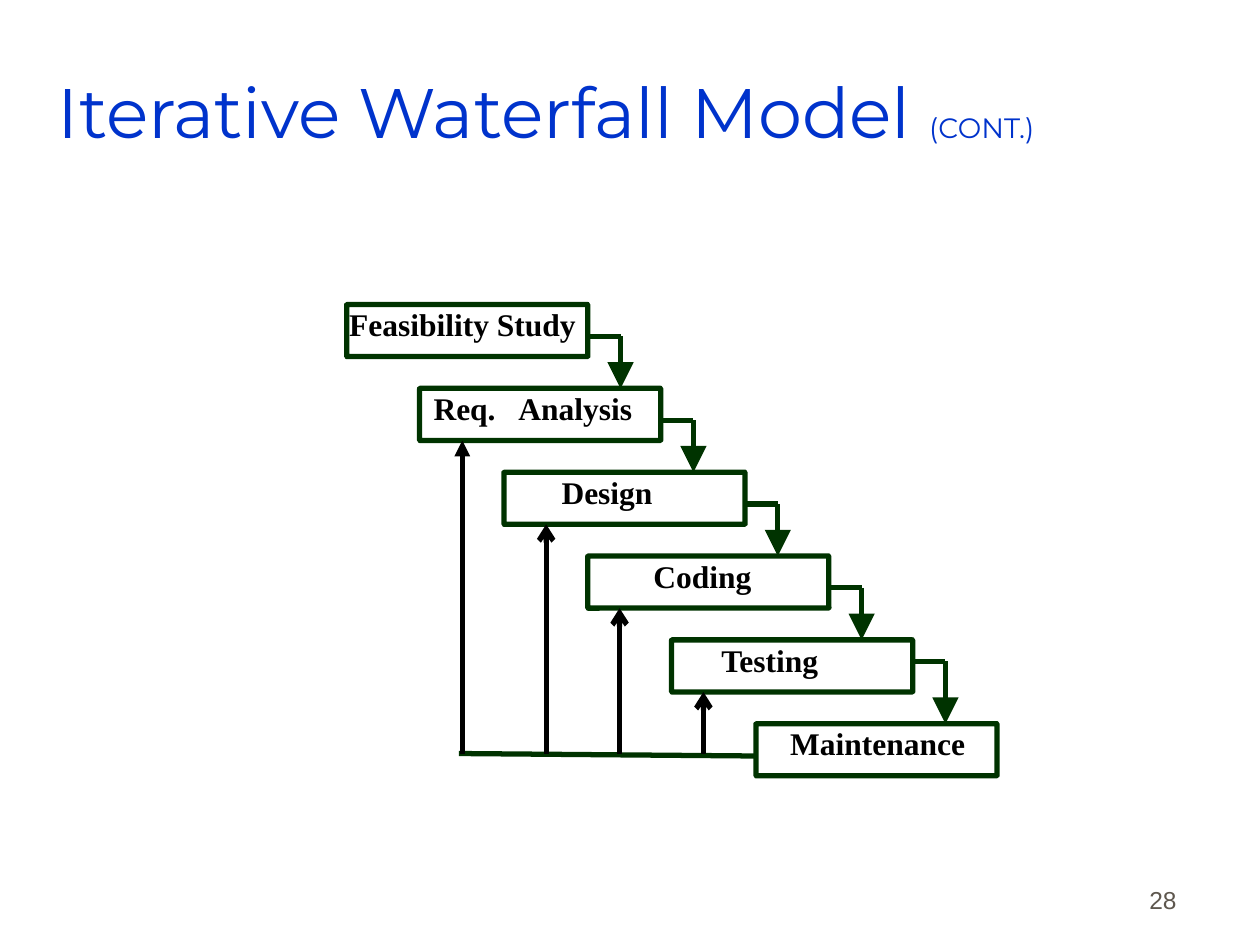
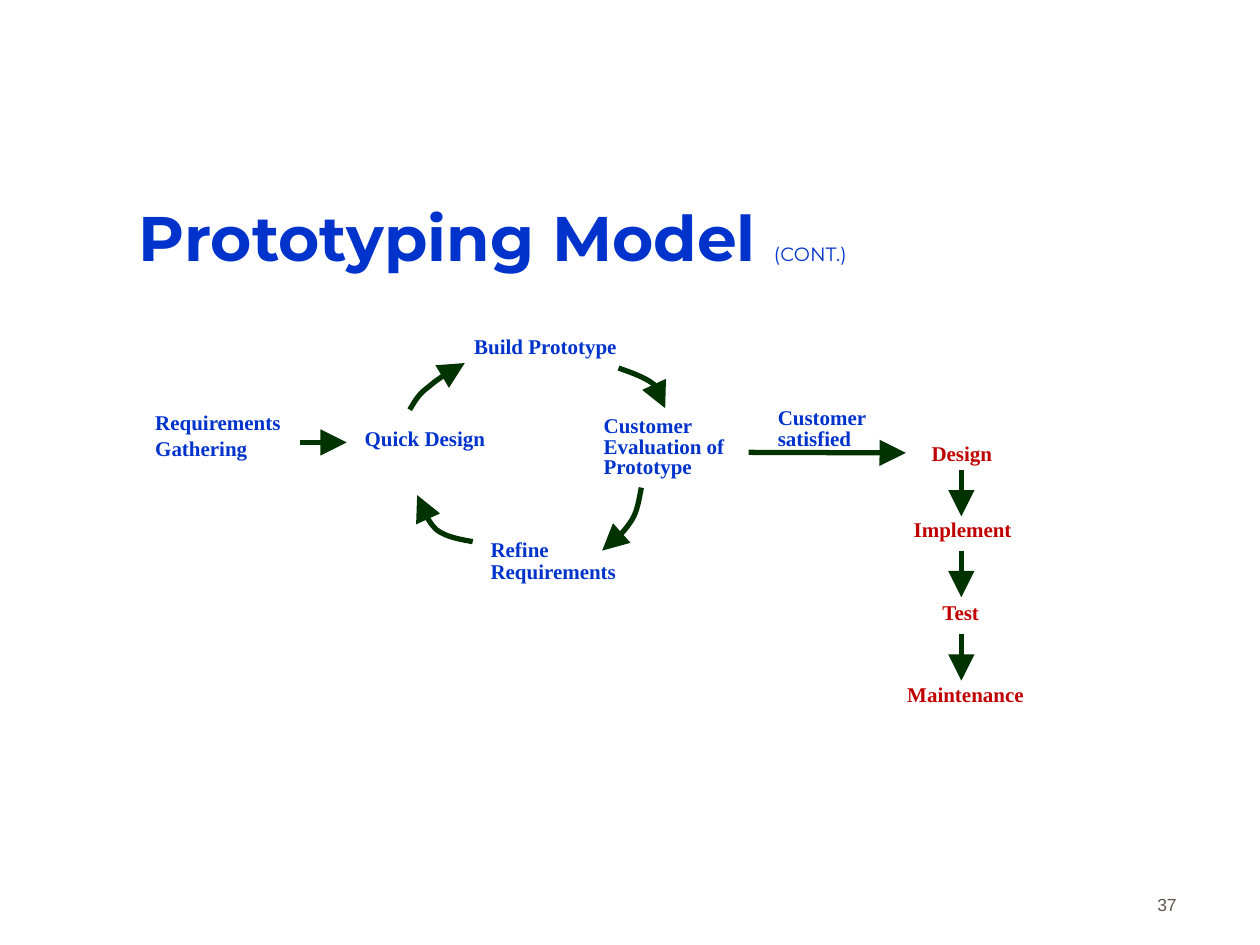
from dataclasses import dataclass

from lxml.etree import SubElement
from pptx import Presentation
from pptx.dml.color import RGBColor
from pptx.enum.shapes import MSO_CONNECTOR as Connector, MSO_SHAPE as Preset
from pptx.enum.text import MSO_ANCHOR as Anchor, PP_ALIGN as Align
from pptx.oxml.ns import qn
from pptx.util import Cm, Pt


@dataclass(frozen=True)
class Theme:
    blue: str = "0033CC"
    green: str = "003300"
    red: str = "C00000"
    black: str = "000000"
    grey: str = "5E574E"
    title_font: str = "Montserrat"
    body_font: str = "Times New Roman"
    number_font: str = "Arial"
    box_size: float = 18
    label_size: float = 12
    line_width: float = 3
    line_spacing: float = 0.85


THEME = Theme()

# ---- Content: all lengths in centimetres ----
WATERFALL = {
    "title": [("Iterative Waterfall Model ", 40, False), ("(CONT.)", 16, False)],
    "title_area": (1.12, 0.64, 21.59, 3.18),
    "title_inset": (0.05, 0.13),
    "number": ("28", 14),
}
# Phase, left edge, text indent
PHASES = [
    ("Feasibility Study", 6.99, 0),
    ("Req.\tAnalysis", 8.46, 0.23),
    ("Design", 10.16, 1.11),
    ("Coding", 11.85, 1.27),
    ("Testing", 13.54, 0.95),
    ("Maintenance", 15.24, 0.64),
]
FIRST_TOP, PHASE_STEP = 6.14, 1.69
BOX_WIDTH, BOX_HEIGHT = 4.86, 1.05
STEP_RUN = 0.66
STEP_DROPS = [0.64, 0.64, 0.64, 0.64, 0.43]
WORD_TAB = 1.71
# Phase index, distance from its left edge, arrowhead
FEEDBACK = [(1, 0.86, "triangle"), (2, 0.85, "arrow"),
            (3, 0.64, "arrow"), (4, 0.64, "arrow")]
FEEDBACK_START, FEEDBACK_END = (15.24, 15.24), (9.25, 15.19)

PROTOTYPING = {
    "title": [("Prototyping Model ", 36, True), ("(CONT.)", 11, False)],
    "title_area": (2.77, 3.56, 16.18, 2.39),
    "title_inset": (0.03, 0.1),
    "number": ("37", 10),
}
# Lines, area, line spacing
CYCLE_LABELS = [
    (["Requirements", "Gathering"], (3.1, 8.23, 2.92, 1.78), 0.85),
    (["Quick Design"], (7.32, 8.56, 2.84, 0.71), 0.85),
    (["Refine Requirements"], (9.86, 10.8, 3.33, 1.19), 0.85),
    (["Build Prototype"], (9.53, 6.71, 3.18, 1.19), 0.85),
    (["Customer", "Evaluation of", "Prototype"], (12.14, 8.38, 3.33, 1.75), 0.63),
    (["Customer satisfied"], (15.65, 8.13, 3.18, 1.22), 0.85),
]
# Label, left, top
DELIVERY_LABELS = [
    ("Design", 18.75, 8.86),
    ("Implement", 18.39, 10.39),
    ("Test", 18.97, 12.07),
    ("Maintenance", 18.26, 13.72),
]
DELIVERY_WIDTH, DELIVERY_HEIGHT = 2.84, 0.69
DELIVERY_AXIS, DELIVERY_ARROW = 19.38, 0.94
DELIVERY_ARROW_TOPS = [9.47, 11.1, 12.78]
FLOW_ARROWS = [((6.05, 8.92), (6.99, 8.92)), ((15.09, 9.12), (18.26, 9.13))]
# Each arc is two joined cubic curves
CYCLE_ARCS = [
    [(8.26, 8.26), (8.36, 8.1), (8.43, 7.95), (8.64, 7.8),
     (8.81, 7.65), (9.09, 7.47), (9.37, 7.32)],
    [(12.47, 7.42), (12.75, 7.52), (13.03, 7.62), (13.18, 7.75),
     (13.34, 7.87), (13.36, 8.05), (13.41, 8.23)],
    [(12.93, 9.83), (12.88, 10.08), (12.85, 10.34), (12.7, 10.54),
     (12.57, 10.74), (12.37, 10.92), (12.14, 11.1)],
    [(9.53, 10.92), (9.25, 10.87), (8.97, 10.82), (8.79, 10.67),
     (8.61, 10.49), (8.51, 10.24), (8.41, 9.98)],
]
ARC_STEPS = 10
NUMBER_AREA = (18.69, 17.3, 5.28, 1.27)


# ---- Helpers ----
def add_run(paragraph, text, font, size, color, bold=False):
    run = paragraph.add_run()
    run.text = text
    run.font.name = font
    run.font.size = Pt(size)
    run.font.bold = bold
    run.font.color.rgb = RGBColor.from_string(color)


def prepare_frame(shape, inset, anchor=Anchor.TOP, indent=0):
    frame = shape.text_frame
    frame.word_wrap = True
    frame.vertical_anchor = anchor
    side, edge = inset
    frame.margin_left, frame.margin_right = Cm(side + indent), Cm(side)
    frame.margin_top = frame.margin_bottom = Cm(edge)
    return frame


def add_text_frame(slide, area, inset, anchor=Anchor.TOP):
    return prepare_frame(slide.shapes.add_textbox(*map(Cm, area)), inset, anchor)


def add_label(slide, lines, area, color, spacing=THEME.line_spacing):
    frame = add_text_frame(slide, area, (0.03, 0.1))
    for index, text in enumerate(lines):
        paragraph = frame.add_paragraph() if index else frame.paragraphs[0]
        paragraph.line_spacing = spacing
        paragraph.space_before = Pt(2.8 if index else 0)
        add_run(paragraph, text, THEME.body_font, THEME.label_size, color, True)


def style_line(shape, color, head=None, head_size="lg"):
    shape.line.color.rgb = RGBColor.from_string(color)
    shape.line.width = Pt(THEME.line_width)
    if head:
        SubElement(shape.line._get_or_add_ln(), qn("a:tailEnd"),
                   type=head, w=head_size, len=head_size)


def add_line(slide, start, end, color=THEME.green, head=None, head_size="lg"):
    line = slide.shapes.add_connector(Connector.STRAIGHT, *map(Cm, start + end))
    style_line(line, color, head, head_size)
    SubElement(line._element.spPr, qn("a:effectLst"))


def curve_points(controls):
    """Sample the joined cubic curves, leaving out the starting point."""
    for first in range(0, len(controls) - 1, 3):
        corners = controls[first:first + 4]
        for step in range(1, ARC_STEPS + 1):
            t = step / ARC_STEPS
            weights = ((1 - t) ** 3, 3 * t * (1 - t) ** 2, 3 * t * t * (1 - t), t ** 3)
            yield tuple(Cm(sum(weight * corner[axis]
                               for weight, corner in zip(weights, corners)))
                        for axis in (0, 1))


def add_arc(slide, controls):
    builder = slide.shapes.build_freeform(*map(Cm, controls[0]))
    builder.add_line_segments(list(curve_points(controls)), close=False)
    arc = builder.convert_to_shape()
    arc.shadow.inherit = False
    arc.fill.background()
    style_line(arc, THEME.green, "triangle")


def start_slide(presentation, content):
    """Add a blank slide with its title and number."""
    slide = presentation.slides.add_slide(presentation.slide_layouts[6])
    title = add_text_frame(slide, content["title_area"], content["title_inset"],
                           Anchor.MIDDLE)
    for text, size, bold in content["title"]:
        add_run(title.paragraphs[0], text, THEME.title_font, size, THEME.blue, bold)
    number = add_text_frame(slide, NUMBER_AREA, (0.25, 0.13), Anchor.BOTTOM)
    number.paragraphs[0].alignment = Align.RIGHT
    text, size = content["number"]
    add_run(number.paragraphs[0], text, THEME.number_font, size, THEME.grey)
    return slide


def phase_top(index):
    return FIRST_TOP + index * PHASE_STEP


def add_phase(slide, index, text, left, indent):
    box = slide.shapes.add_shape(Preset.ROUNDED_RECTANGLE, Cm(left),
                                 Cm(phase_top(index)), Cm(BOX_WIDTH), Cm(BOX_HEIGHT))
    box.adjustments[0] = 0.004
    box.shadow.inherit = False
    box.fill.background()
    style_line(box, THEME.green)
    paragraph = prepare_frame(box, (0.05, 0.13), indent=indent).paragraphs[0]
    if "\t" in text:
        tabs = SubElement(paragraph._p.get_or_add_pPr(), qn("a:tabLst"))
        SubElement(tabs, qn("a:tab"), pos=str(Cm(WORD_TAB)), algn="l")
    paragraph.alignment = Align.LEFT
    paragraph.line_spacing = THEME.line_spacing
    add_run(paragraph, text, THEME.body_font, THEME.box_size, THEME.black, True)


# ---- Slides ----
def build_waterfall(presentation):
    slide = start_slide(presentation, WATERFALL)
    for index, (text, left, indent) in enumerate(PHASES):
        add_phase(slide, index, text, left, indent)

    # Steps down to the next phase
    for index, drop in enumerate(STEP_DROPS):
        right = PHASES[index][1] + BOX_WIDTH
        level = phase_top(index) + drop
        corner = (right + STEP_RUN, level)
        add_line(slide, (right, level), corner)
        add_line(slide, corner, (corner[0], phase_top(index + 1)), head="triangle")

    # Feedback from maintenance
    add_line(slide, FEEDBACK_START, FEEDBACK_END)
    for index, offset, head in FEEDBACK:
        x = PHASES[index][1] + offset
        add_line(slide, (x, FEEDBACK_END[1]), (x, phase_top(index) + BOX_HEIGHT),
                 THEME.black, head, "med")


def build_prototyping(presentation):
    slide = start_slide(presentation, PROTOTYPING)
    for lines, area, spacing in CYCLE_LABELS:
        add_label(slide, lines, area, THEME.blue, spacing)
    for text, left, top in DELIVERY_LABELS:
        add_label(slide, [text], (left, top, DELIVERY_WIDTH, DELIVERY_HEIGHT), THEME.red)

    # Arrows of the cycle and of the delivery column
    for controls in CYCLE_ARCS:
        add_arc(slide, controls)
    delivery_arrows = [((DELIVERY_AXIS, top), (DELIVERY_AXIS, top + DELIVERY_ARROW))
                       for top in DELIVERY_ARROW_TOPS]
    for start, end in FLOW_ARROWS + delivery_arrows:
        add_line(slide, start, end, head="triangle")


def main():
    presentation = Presentation()
    presentation.slide_width, presentation.slide_height = Cm(25.4), Cm(19.05)
    build_waterfall(presentation)
    build_prototyping(presentation)
    presentation.save("out.pptx")


if __name__ == "__main__":
    main()
